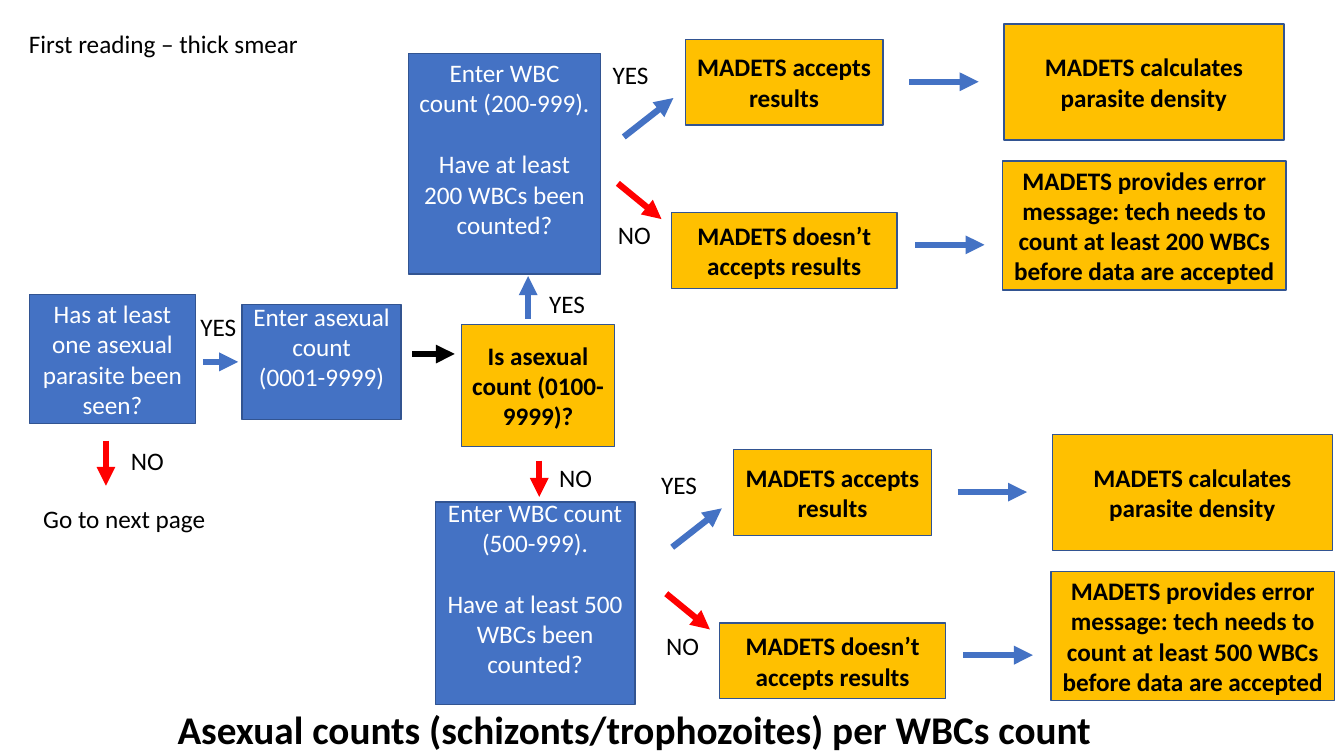
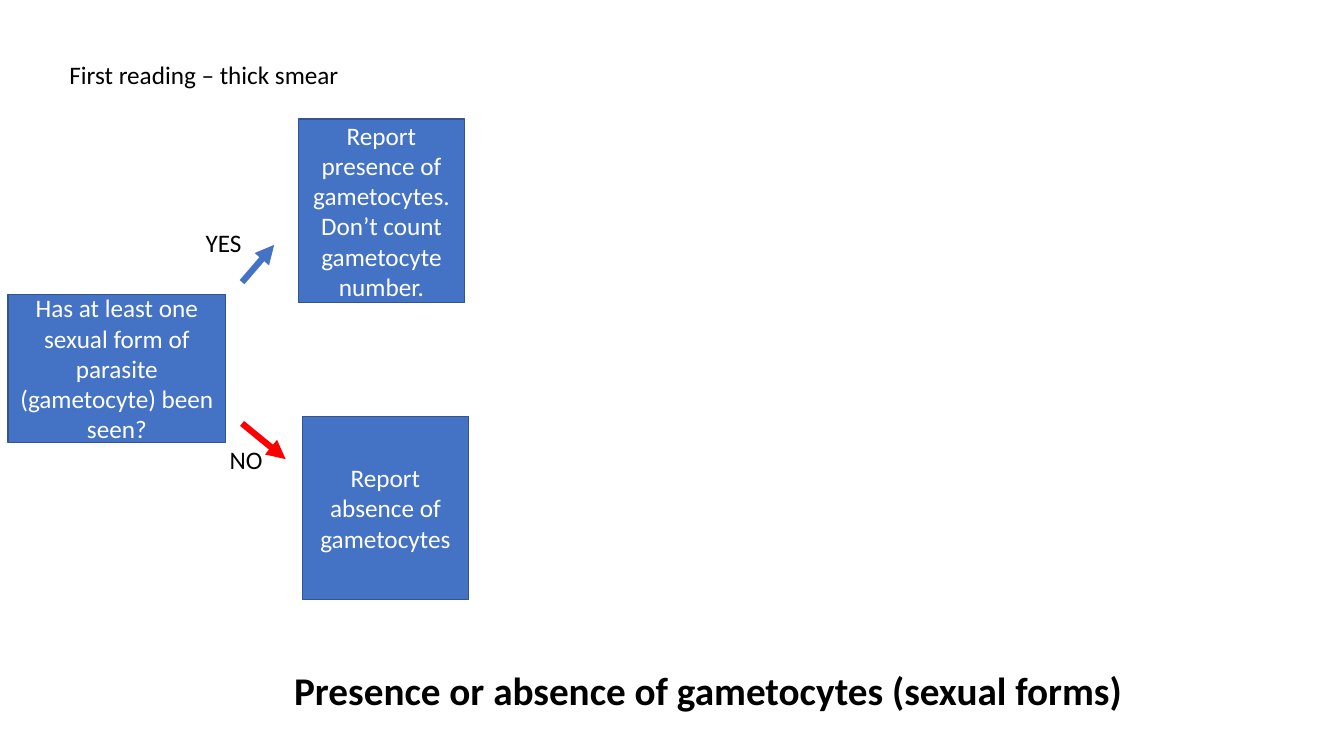
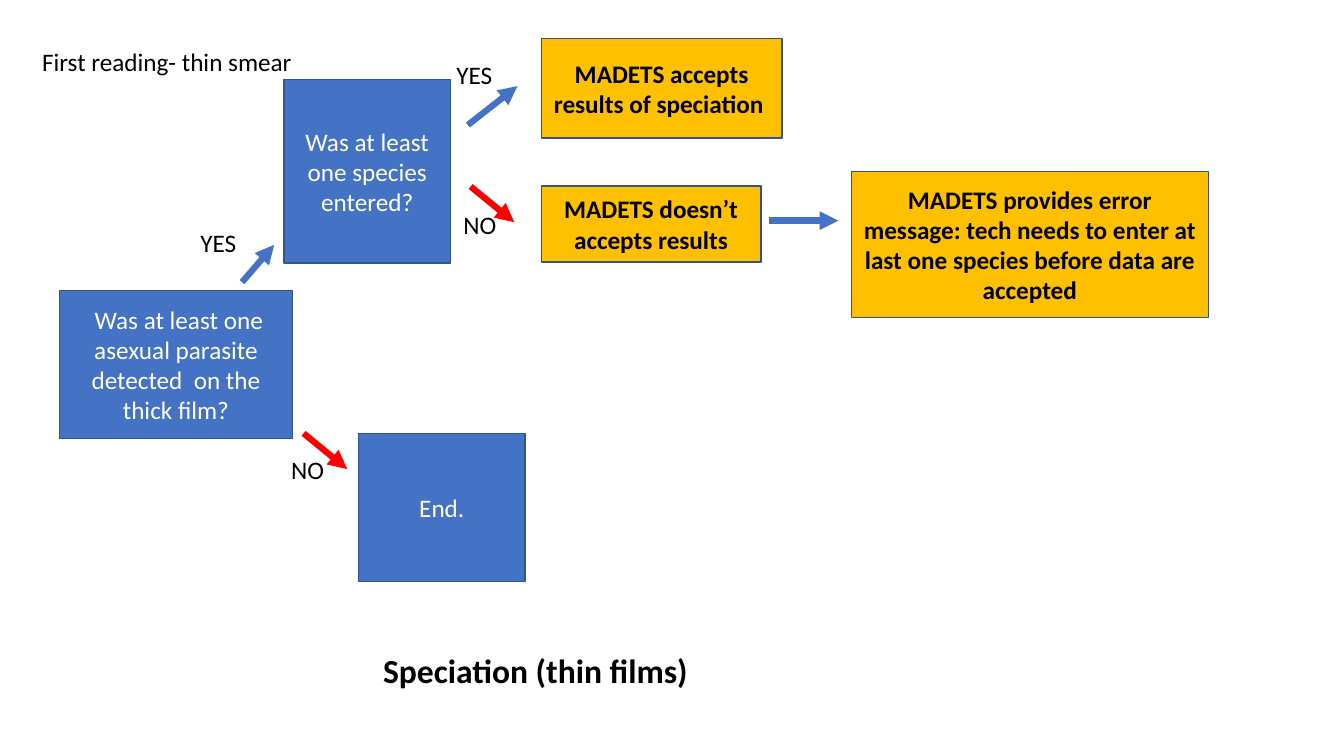
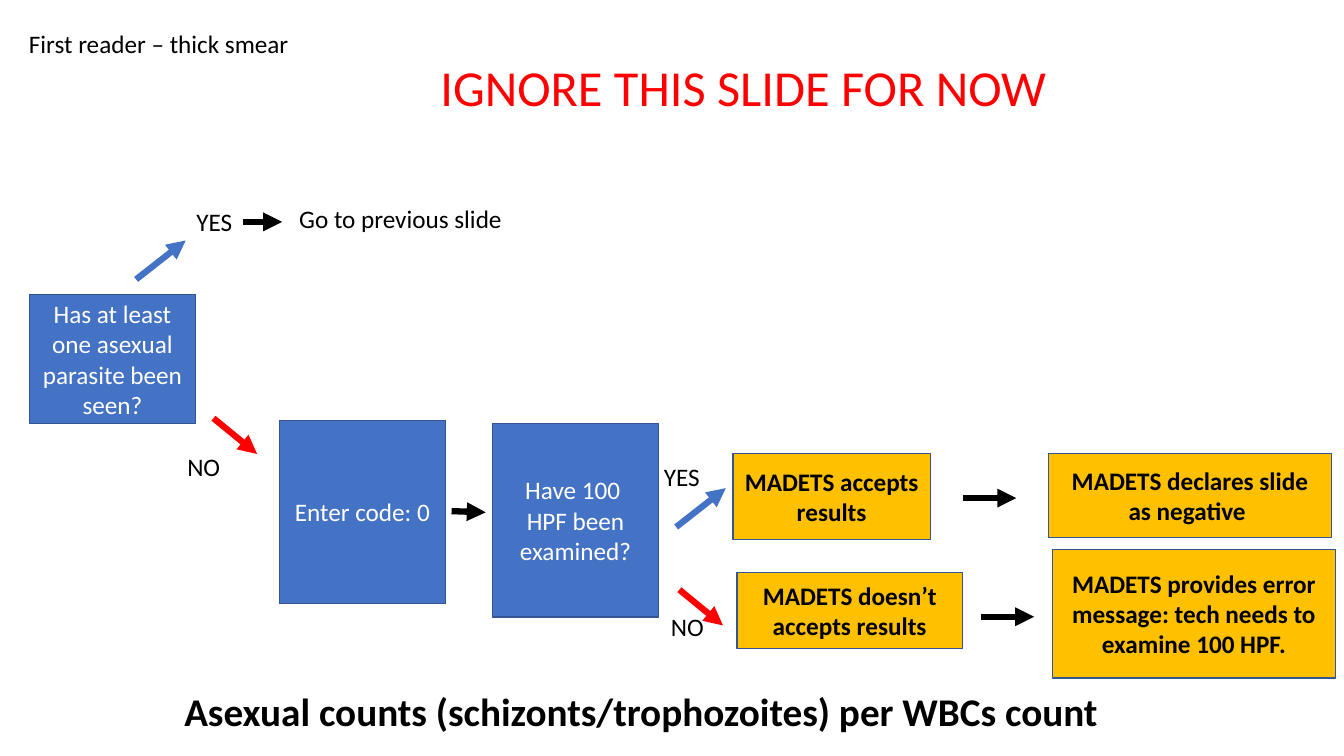
from dataclasses import dataclass, field
from typing import Any

from lxml.etree import SubElement
from pptx import Presentation
from pptx.dml.color import RGBColor
from pptx.enum.shapes import MSO_CONNECTOR, MSO_SHAPE
from pptx.enum.text import MSO_ANCHOR, MSO_AUTO_SIZE, PP_ALIGN
from pptx.oxml.ns import qn
from pptx.util import Cm, Pt


@dataclass(frozen=True)
class Theme:
    font: str = "Calibri"
    blue: str = "4472C4"
    gold: str = "FFC000"
    edge: str = "325491"
    red: str = "FF0000"
    black: str = "000000"
    white: str = "FFFFFF"
    body: int = 18
    small: int = 24
    head: int = 28
    alert: int = 36
    thin: float = 1
    thick: float = 4.5
    row: int = 22


THEME = Theme()


@dataclass(frozen=True)
class Box:
    x: float
    y: float
    w: float
    h: float
    text: str
    fill: str = THEME.blue
    gap: int = 0
    foot: float = 0.13


@dataclass(frozen=True)
class Label:
    x: float
    y: float
    w: float
    text: str
    size: int = THEME.body
    ink: str = THEME.black
    h: float = 1.02
    wrap: bool = False


@dataclass(frozen=True)
class Arrow:
    x: float
    y: float
    dx: float
    dy: float = 0
    ink: str = THEME.blue


@dataclass(frozen=True)
class Page:
    title: Label
    items: list[Box | Label | Arrow] = field(default_factory=list)


def yes(x: float, y: float) -> Label:
    return Label(x, y, 1.42, "YES")


def no(x: float, y: float) -> Label:
    return Label(x, y, 1.35, "NO")


def rise(x: float, y: float) -> Arrow:
    return Arrow(x, y, 1.25, -0.98)


def drop(x: float, y: float) -> Arrow:
    return Arrow(x, y, 1.1, 0.9, THEME.red)


def gold(x: float, y: float, w: float, h: float, text: str) -> Box:
    return Box(x, y, w, h, text, THEME.gold)


def passed(x: float, y: float) -> Box:
    return gold(x, y, 4.98, 2.16, "MADETS accepts results")


def failed(x: float, y: float, w: float = 5.69) -> Box:
    return gold(x, y, w, 1.91, "MADETS doesn’t accepts results")


def seen() -> Box:
    return Box(0.74, 7.42, 4.19, 3.25, "Has at least one asexual parasite been seen?")


def total(x: float, y: float) -> Label:
    return Label(x, y, 25.5, "Asexual counts (schizonts/trophozoites) per WBCs count", THEME.head, h=1.45, wrap=True)


def branch(x: float, y: float, least: int) -> list[Box | Label | Arrow]:
    return [
        yes(x + 15.19, y + 1.37),
        rise(x + 15.72, y + 3.45),
        passed(x + 17.27, y + 0.99),
        Arrow(x + 22.91, y + 2.06, 1.75),
        gold(x + 25.3, y + 0.61, 7.06, 2.92, "MADETS calculates parasite density"),
        no(x + 15.32, y + 5.41),
        drop(x + 15.57, y + 4.62),
        failed(x + 16.92, y + 5.36),
        Arrow(x + 23.06, y + 6.17, 1.75),
        gold(x + 25.27, y + 4.06, 7.14, 3.25,
             f"MADETS provides error message: tech needs to count at least {least} WBCs before data are accepted"),
    ]


def count(x: float, y: float, w: float, h: float, least: int) -> Box:
    text = f"Enter WBC count ({least}-999).\nHave at least {least} WBCs been counted?"
    return Box(x, y, w, h, text, gap=THEME.row, foot=0.9)


PAGES = [
    Page(total(4.22, 17.65), [
        Label(0.48, 0.58, 7.37, "First reading – thick smear"),
        seen(),
        yes(4.8, 7.72),
        Arrow(5.11, 9.12, 0.89),
        Arrow(2.67, 11.1, 0, 1.14, THEME.red),
        no(3.05, 11.1),
        Label(0.84, 12.55, 4.65, "Go to next page"),
        Box(6.1, 7.67, 4.01, 2.9, "Enter asexual count\n(0001-9999)", foot=0.9),
        Arrow(10.39, 8.92, 1.07, ink=THEME.black),
        gold(11.63, 8.18, 3.86, 3.07, "Is asexual count (0100-9999)?"),
        Arrow(13.31, 8.03, 0, -1.07),
        yes(13.59, 7.14),
        Arrow(13.59, 11.61, 0, 0.91, THEME.red),
        no(13.84, 11.53),
        count(10.29, 1.35, 4.85, 5.56, 200),
        *branch(0, 0, 200),
        count(10.97, 12.65, 5.03, 5.11, 500),
        *branch(1.22, 10.34, 500),
    ]),
    Page(Label(7.16, 16.66, 22.43, "Presence or absence of gametocytes (sexual forms)", THEME.head, h=1.45, wrap=True), [
        Label(1.5, 1.37, 7.37, "First reading – thick smear"),
        Box(0.2, 7.42, 5.49, 3.73, "Has at least one sexual form of parasite (gametocyte) been seen?"),
        yes(4.93, 5.61),
        Arrow(6.1, 7.11, 0.81, -0.94),
        Box(7.52, 3, 4.19, 4.62, "Report presence of gametocytes. Don’t count gametocyte number."),
        no(5.54, 11.07),
        drop(6.1, 10.67),
        Box(7.62, 10.49, 4.19, 4.62, "Report absence of gametocytes"),
    ]),
    Page(Label(9.4, 16.26, 8.51, "Speciation (thin films)", THEME.small, h=1.27, wrap=True), [
        Label(0.81, 1.04, 7.04, "First reading- thin smear"),
        Box(1.5, 7.32, 5.87, 3.73, " Was at least one asexual parasite detected  on the thick film?"),
        yes(4.8, 5.61),
        Arrow(6.1, 7.11, 0.81, -0.94),
        Box(7.16, 2.01, 4.19, 4.62, "Was at least one species entered?"),
        yes(11.25, 1.37),
        rise(11.79, 3.15),
        gold(13.64, 0.97, 6.07, 2.51, "MADETS accepts results of speciation "),
        no(11.43, 5.16),
        drop(11.86, 4.7),
        failed(13.64, 4.69, 5.54),
        Arrow(19.38, 5.56, 1.75),
        gold(21.46, 4.32, 8.99, 3.68,
             "MADETS provides error message: tech needs to enter at last one species before data are accepted"),
        no(7.09, 11.33),
        drop(7.65, 10.92),
        Box(9.04, 10.92, 4.19, 3.73, "End."),
    ]),
    Page(total(4.39, 17.2), [
        Label(0.48, 0.58, 7.14, "First reader – thick smear"),
        Label(10.85, 1.3, 16.97, "IGNORE THIS SLIDE FOR NOW", THEME.alert, THEME.red, 1.8, True),
        seen(),
        rise(3.43, 7.04),
        yes(4.7, 5.08),
        Arrow(6.12, 5.59, 0.99, ink=THEME.black),
        Label(7.29, 5, 5.69, "Go to previous slide"),
        no(4.47, 11.25),
        drop(5.38, 10.54),
        Box(7.04, 10.59, 4.19, 4.62, "Enter code: 0"),
        Arrow(11.38, 12.88, 0.86, 0.03, THEME.black),
        Box(12.42, 10.67, 4.17, 4.88, "Have 100  HPF been examined?"),
        yes(16.48, 11.51),
        rise(17.04, 13.28),
        passed(18.47, 11.43),
        Arrow(24.26, 12.55, 1.35, ink=THEME.black),
        gold(26.42, 11.43, 7.14, 2.11, "MADETS declares slide as negative "),
        no(16.66, 15.29),
        drop(17.12, 14.86),
        failed(18.57, 14.43),
        Arrow(24.71, 15.54, 1.35, ink=THEME.black),
        gold(26.52, 13.84, 7.14, 3.25, "MADETS provides error message: tech needs to examine 100 HPF."),
    ]),
]


def apply(part: Any, style: dict[str, Any]) -> None:
    for name, value in style.items():
        setattr(part, name, value)


def write(frame: Any, text: str, size: int, ink: str, bold: bool, align: Any, gap: int = 0) -> None:
    frame.text = text
    for rank, para in enumerate(frame.paragraphs):
        apply(para, {"alignment": align})
        if rank and gap:
            para.space_before = Pt(gap)
        for run in para.runs:
            apply(run.font, {"name": THEME.font, "size": Pt(size), "bold": bold})
            run.font.color.rgb = RGBColor.from_string(ink)


def draw_box(slide: Any, box: Box) -> None:
    shape = slide.shapes.add_shape(MSO_SHAPE.RECTANGLE, Cm(box.x), Cm(box.y), Cm(box.w), Cm(box.h))
    shape.shadow.inherit = False
    shape.fill.solid()
    shape.fill.fore_color.rgb = RGBColor.from_string(box.fill)
    shape.line.color.rgb = RGBColor.from_string(THEME.edge)
    shape.line.width = Pt(THEME.thin)
    apply(shape.text_frame, {"word_wrap": True, "vertical_anchor": MSO_ANCHOR.MIDDLE, "margin_bottom": Cm(box.foot)})
    bold = box.fill == THEME.gold
    ink = THEME.black if bold else THEME.white
    write(shape.text_frame, box.text, THEME.body, ink, bold, PP_ALIGN.CENTER, box.gap)


def draw_label(slide: Any, label: Label) -> None:
    shape = slide.shapes.add_textbox(Cm(label.x), Cm(label.y), Cm(label.w), Cm(label.h))
    apply(shape.text_frame, {"word_wrap": label.wrap, "auto_size": MSO_AUTO_SIZE.SHAPE_TO_FIT_TEXT})
    write(shape.text_frame, label.text, label.size, label.ink, False, PP_ALIGN.LEFT)


def draw_arrow(slide: Any, arrow: Arrow) -> None:
    line = slide.shapes.add_connector(
        MSO_CONNECTOR.STRAIGHT, Cm(arrow.x), Cm(arrow.y), Cm(arrow.x + arrow.dx), Cm(arrow.y + arrow.dy))
    line.line.color.rgb = RGBColor.from_string(arrow.ink)
    line.line.width = Pt(THEME.thick)
    props = line.element.spPr
    SubElement(props.find(qn("a:ln")), qn("a:tailEnd"), type="triangle")
    SubElement(props, qn("a:effectLst"))


def draw_title(slide: Any, title: Label) -> None:
    shape = slide.shapes.title
    apply(shape, {"left": Cm(title.x), "top": Cm(title.y), "width": Cm(title.w), "height": Cm(title.h)})
    apply(shape.text_frame, {"word_wrap": True, "vertical_anchor": MSO_ANCHOR.TOP, "auto_size": MSO_AUTO_SIZE.NONE})
    write(shape.text_frame, title.text, title.size, title.ink, True, PP_ALIGN.LEFT)


def main() -> None:
    deck = Presentation()
    apply(deck, {"slide_width": Cm(33.87), "slide_height": Cm(19.05)})
    tools = {Box: draw_box, Label: draw_label, Arrow: draw_arrow}
    for page in PAGES:
        slide = deck.slides.add_slide(deck.slide_layouts[5])
        draw_title(slide, page.title)
        for item in page.items:
            tools[type(item)](slide, item)
    deck.save("out.pptx")


if __name__ == "__main__":
    main()
